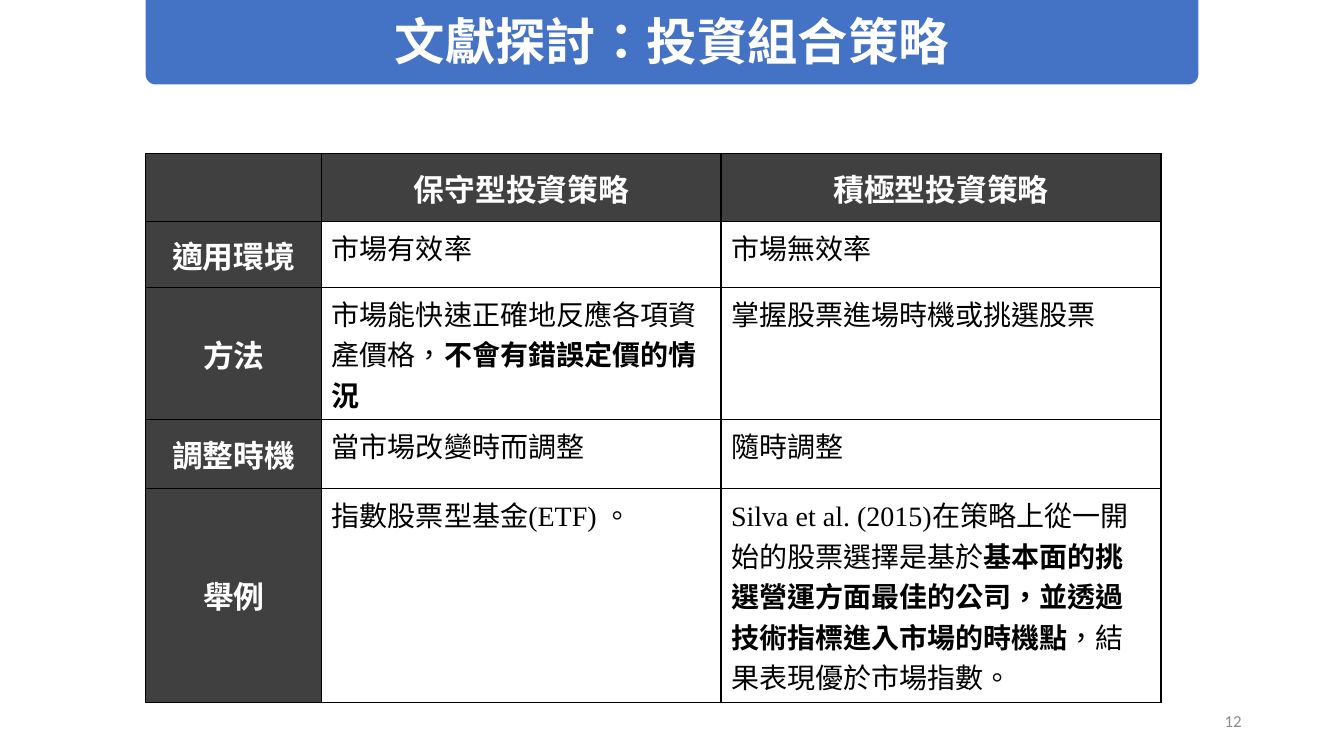
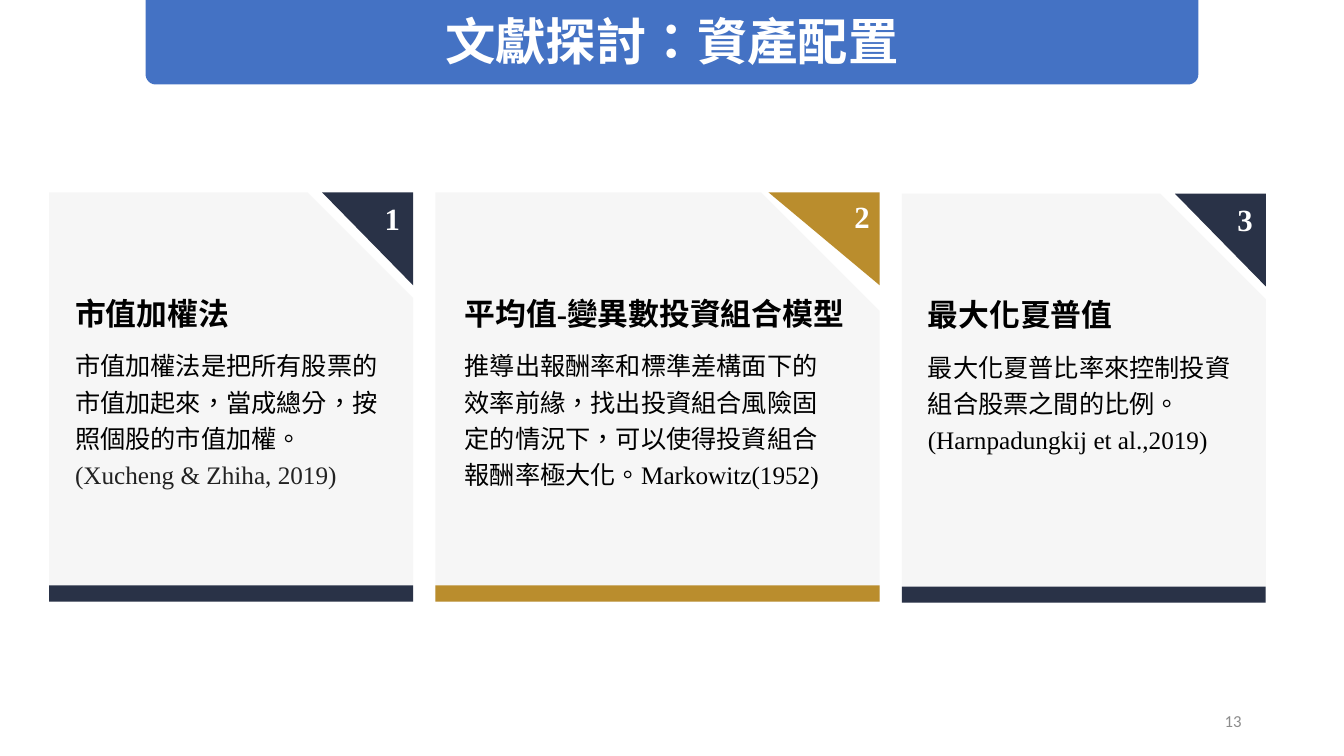
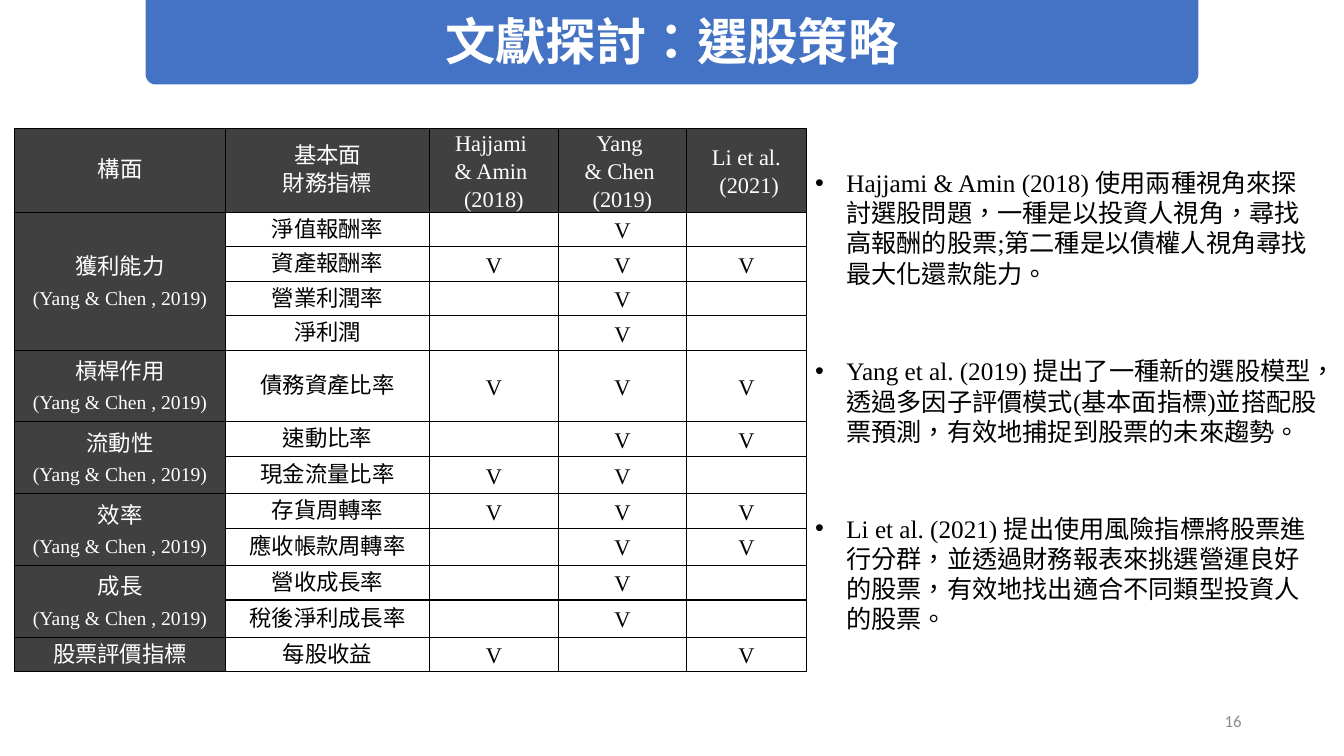
"""Build three literature review slides on portfolio and stock selection strategy."""
from dataclasses import dataclass
from typing import Optional

from lxml.etree import SubElement
from pptx import Presentation
from pptx.dml.color import RGBColor
from pptx.enum.shapes import MSO_SHAPE as Shape
from pptx.enum.text import MSO_ANCHOR as Anchor, MSO_AUTO_SIZE as AutoSize, PP_ALIGN as Align
from pptx.oxml.ns import qn
from pptx.util import Cm, Pt

BLUE, NAVY, GOLD = "4472C4", "293247", "BA8D2D"
DARK, PALE, GREY = "404040", "F6F6F6", "8C8C8C"
BLACK, WHITE, INK = "000000", "FFFFFF", "222222"
SERIF, SANS, NUMBER_FONT = "Times New Roman", "Noto Sans CJK SC", "Calibri"
CARD_TOP, CARD_HEIGHT, CARD_GAP, BAR_HEIGHT = 4.85, 10.31, 0.56, 0.41


@dataclass(frozen=True)
class Span:
    text: str
    bold: bool = False
    color: str = BLACK


@dataclass(frozen=True)
class StrategyRow:
    label: str
    conservative: tuple[Span, ...]
    active: tuple[Span, ...]


@dataclass(frozen=True)
class Card:
    number: str
    heading: str
    body: tuple[Span, ...]
    width: float
    color: str
    heading_size: tuple[float, float]
    body_height: float
    inset: tuple[float, float] = (0.33, 0.18)
    drop: float = 0


@dataclass(frozen=True)
class Indicator:
    name: str
    cited_by: str
    height: float = 0.87


@dataclass(frozen=True)
class Dimension:
    name: str
    indicators: tuple[Indicator, ...]
    source: Optional[str] = "(Yang & Chen , 2019)"


@dataclass(frozen=True)
class Note:
    text: str
    top: float
    height: float


STRATEGY_HEADS = ("", "保守型投資策略", "積極型投資策略")
STRATEGY_HEIGHTS = (1.72, 1.66, 3.07, 1.74, 5.34)
STRATEGY_ROWS = (
    StrategyRow("適用環境", (Span("市場有效率"),), (Span("市場無效率"),)),
    StrategyRow(
        "方法",
        (Span("市場能快速正確地反應各項資產價格，"), Span("不會有錯誤定價的情況", bold=True)),
        (Span("掌握股票進場時機或挑選股票"),),
    ),
    StrategyRow("調整時機", (Span("當市場改變時而調整"),), (Span("隨時調整"),)),
    StrategyRow(
        "舉例",
        (Span("指數股票型基金(ETF) 。"),),
        (
            Span("Silva et al. (2015)在策略上從一開始的股票選擇是基於"),
            Span("基本面的挑選營運方面最佳的公司，並透過技術指標進入市場的時機點", bold=True),
            Span("，結果表現優於市場指數。"),
        ),
    ),
)

CARDS = (
    Card(
        "1", "市值加權法",
        (
            Span("市值加權法是把所有股票的市值加起來，當成總分，按照個股的市值加權。"),
            Span("(Xucheng & Zhiha, 2019)", color=INK),
        ),
        9.17, NAVY, (6.73, 1.3), 3.86,
    ),
    Card(
        "2", "平均值-變異數投資組合模型",
        (Span("推導出報酬率和標準差構面下的效率前緣，找出投資組合風險固定的情況下，"
              "可以使得投資組合報酬率極大化。Markowitz(1952)"),),
        11.2, GOLD, (10.44, 2.41), 4.8, inset=(0.25, 0.13),
    ),
    Card(
        "3", "最大化夏普值",
        (Span("最大化夏普比率來控制投資組合股票之間的比例。 (Harnpadungkij et al.,2019)"),),
        9.17, NAVY, (6.73, 1.3), 2.95, drop=0.03,
    ),
)

INDICATOR_HEADS = (
    "構面", "基本面\n財務指標", "Hajjami \n& Amin \n(2018)", "Yang \n& Chen \n(2019)",
    "Li et al.\n (2021)",
)
STUDIES = "HYL"
DIMENSIONS = (
    Dimension("獲利能力", (
        Indicator("淨值報酬率", "Y"), Indicator("資產報酬率", "HYL"),
        Indicator("營業利潤率", "Y"), Indicator("淨利潤", "Y"),
    )),
    Dimension("槓桿作用", (Indicator("債務資產比率", "HYL", 1.8),)),
    Dimension("流動性", (Indicator("速動比率", "YL"), Indicator("現金流量比率", "HY", 0.94))),
    Dimension("效率", (Indicator("存貨周轉率", "HYL"), Indicator("應收帳款周轉率", "YL", 0.94))),
    Dimension("成長", (Indicator("營收成長率", "Y"), Indicator("稅後淨利成長率", "Y", 0.94))),
    Dimension("股票評價指標", (Indicator("每股收益", "HL"),), source=None),
)

NOTES = (
    Note("Hajjami & Amin (2018) 使用兩種視角來探討選股問題，一種是以投資人視角，"
         "尋找高報酬的股票;第二種是以債權人視角尋找最大化還款能力。", 4.09, 3.33),
    Note("Yang et al. (2019) 提出了一種新的選股模型，透過多因子評價模式(基本面指標)"
         "並搭配股票預測，有效地捕捉到股票的未來趨勢。", 8.84, 2.57),
    Note("Li et al. (2021) 提出使用風險指標將股票進行分群，並透過財務報表來挑選"
         "營運良好的股票，有效地找出適合不同類型投資人的股票。", 12.8, 3.33),
)


def rgb(value: str) -> RGBColor:
    return RGBColor.from_string(value)


def write(frame, text: str, *, size: float, color: str = BLACK, bold: bool = False,
          font: str = SERIF, align=Align.LEFT, spacing=None, continued: bool = False,
          bullet: bool = False) -> None:
    for line in text.split("\n"):
        para = frame.paragraphs[-1]
        if para.runs and not continued:
            para = frame.add_paragraph()
        para.alignment = align
        para.line_spacing = spacing
        if bullet:
            properties = para._p.get_or_add_pPr()
            properties.set("marL", str(Cm(0.79)))
            properties.set("indent", str(-Cm(0.79)))
            SubElement(properties, qn("a:buFont"), typeface="Arial")
            SubElement(properties, qn("a:buChar"), char="•")
        if not line:
            continue
        span = para.add_run()
        span.text = line
        span.font.size = Pt(size)
        span.font.bold = bold
        span.font.name = font
        span.font.color.rgb = rgb(color)
        properties = span._r.get_or_add_rPr()
        properties.set("lang", "zh-TW")
        SubElement(properties, qn("a:ea"), typeface=SANS)


def write_spans(frame, spans: tuple[Span, ...], *, size: float, spacing=None) -> None:
    for index, span in enumerate(spans):
        write(frame, span.text, size=size, color=span.color, bold=span.bold,
              spacing=spacing, continued=index > 0)


def paint(shape, color: str):
    shape.shadow.inherit = False
    shape.fill.solid()
    shape.fill.fore_color.rgb = rgb(color)
    shape.line.fill.background()
    return shape


def add_block(page, kind, left: float, top: float, width: float, height: float, color: str):
    return paint(page.shapes.add_shape(kind, Cm(left), Cm(top), Cm(width), Cm(height)), color)


def add_text_frame(page, left: float, top: float, width: float, height: float, grow=True):
    frame = page.shapes.add_textbox(Cm(left), Cm(top), Cm(width), Cm(height)).text_frame
    frame.word_wrap = True
    frame.auto_size = AutoSize.SHAPE_TO_FIT_TEXT if grow else AutoSize.NONE
    return frame


def add_page(deck, title: str, number: int):
    page = deck.slides.add_slide(deck.slide_layouts[6])
    band = add_block(page, Shape.ROUND_2_SAME_RECTANGLE, 3.67, 0, 26.53, 2.13, BLUE)
    band.adjustments[0], band.adjustments[1] = 0, 0.12
    band.text_frame.vertical_anchor = Anchor.MIDDLE
    write(band.text_frame, title, size=36, color=WHITE, bold=True, font=SANS,
          align=Align.CENTER)
    footer = add_text_frame(page, 23.92, 17.66, 7.62, 1.01, grow=False)
    footer.vertical_anchor = Anchor.MIDDLE
    write(footer, str(number), size=12, color=GREY, font=NUMBER_FONT, align=Align.RIGHT)
    return page


def add_grid(page, left: float, top: float, widths: tuple, heights: tuple):
    table = page.shapes.add_table(len(heights), len(widths), Cm(left), Cm(top),
                                  Cm(sum(widths)), Cm(sum(heights))).table
    table.first_row = table.horz_banding = False
    for column, width in zip(table.columns, widths):
        column.width = Cm(width)
    for row, height in zip(table.rows, heights):
        row.height = Cm(height)
    for cell in table.iter_cells():
        for side in ("lnL", "lnR", "lnT", "lnB"):
            border = SubElement(cell._tc.get_or_add_tcPr(), qn(f"a:{side}"), w=str(Pt(1)))
            SubElement(SubElement(border, qn("a:solidFill")), qn("a:srgbClr"), val=BLACK)
        cell.fill.solid()
        cell.fill.fore_color.rgb = rgb(WHITE)
    return table


def darken(cell) -> None:
    cell.fill.fore_color.rgb = rgb(DARK)
    cell.vertical_anchor = Anchor.MIDDLE


def write_label(cell, text: str) -> None:
    darken(cell)
    write(cell.text_frame, text, size=22, color=WHITE, bold=True, align=Align.CENTER)


def write_compact(cell, text: str, size: float = 16, color: str = BLACK) -> None:
    cell.vertical_anchor = Anchor.MIDDLE
    cell.margin_left = cell.margin_right = Cm(0.18)
    cell.margin_top = cell.margin_bottom = 0
    write(cell.text_frame, text, size=size, color=color, align=Align.CENTER, spacing=Pt(20))


def build_strategies(deck) -> None:
    page = add_page(deck, "文獻探討：投資組合策略", 12)
    table = add_grid(page, 3.67, 3.87, (4.44, 10.06, 11.09), STRATEGY_HEIGHTS)
    for column, head in enumerate(STRATEGY_HEADS):
        write_label(table.cell(0, column), head)
    for index, row in enumerate(STRATEGY_ROWS, 1):
        write_label(table.cell(index, 0), row.label)
        write_spans(table.cell(index, 1).text_frame, row.conservative, size=20)
        write_spans(table.cell(index, 2).text_frame, row.active, size=20)


def draw_card(page, card: Card, left: float) -> None:
    top = CARD_TOP + card.drop
    right = left + card.width
    panel = add_block(page, Shape.SNIP_1_RECTANGLE, left, top, card.width, CARD_HEIGHT, PALE)
    panel.adjustments[0] = 0.29
    add_block(page, Shape.RECTANGLE, left, top + CARD_HEIGHT - BAR_HEIGHT, card.width,
              BAR_HEIGHT, card.color)
    builder = page.shapes.build_freeform(Cm(right), Cm(top))
    builder.add_line_segments([(Cm(right - 0.25 * card.width), Cm(top)),
                               (Cm(right), Cm(top + 2.34))])
    corner = paint(builder.convert_to_shape(), card.color)
    frame = corner.text_frame
    frame.vertical_anchor = Anchor.TOP
    frame.margin_left = frame.margin_right = Cm(card.inset[0])
    frame.margin_top = frame.margin_bottom = Cm(card.inset[1])
    write(frame, card.number, size=22, color=WHITE, bold=True, align=Align.RIGHT)
    text_left = left + 0.044 * card.width
    body = add_text_frame(page, text_left, top + 3.71, 0.89 * card.width, card.body_height)
    write_spans(body, card.body, size=18, spacing=1.2)
    heading = add_text_frame(page, text_left, top + 2.26, *card.heading_size)
    write(heading, card.heading, size=22, bold=True, spacing=1.2)


def build_allocation(deck) -> None:
    page = add_page(deck, "文獻探討：資產配置", 13)
    left = 1.24
    for card in CARDS:
        draw_card(page, card, left)
        left += card.width + CARD_GAP


def build_selection(deck) -> None:
    page = add_page(deck, "文獻探討：選股策略", 16)
    heights = (1.96, *(item.height for group in DIMENSIONS for item in group.indicators))
    table = add_grid(page, 0.36, 3.23, (5.33, 5.13, 3.25, 3.23, 3.02), heights)
    for column, head in enumerate(INDICATOR_HEADS):
        darken(table.cell(0, column))
        write_compact(table.cell(0, column), head, color=WHITE)
    row = 1
    for group in DIMENSIONS:
        label = table.cell(row, 0)
        if len(group.indicators) > 1:
            label.merge(table.cell(row + len(group.indicators) - 1, 0))
        darken(label)
        write_compact(label, group.name, color=WHITE)
        if group.source:
            write_compact(label, group.source, size=14, color=WHITE)
        for item in group.indicators:
            write_compact(table.cell(row, 1), item.name)
            for column, study in enumerate(STUDIES, 2):
                write_compact(table.cell(row, column), "V" if study in item.cited_by else "")
            row += 1
    for note in NOTES:
        frame = add_text_frame(page, 20.29, note.top, 13.21, note.height)
        write(frame, note.text, size=18, bullet=True)


def main() -> None:
    deck = Presentation()
    deck.slide_width, deck.slide_height = Cm(33.87), Cm(19.05)
    build_strategies(deck)
    build_allocation(deck)
    build_selection(deck)
    deck.save("out.pptx")


if __name__ == "__main__":
    main()
